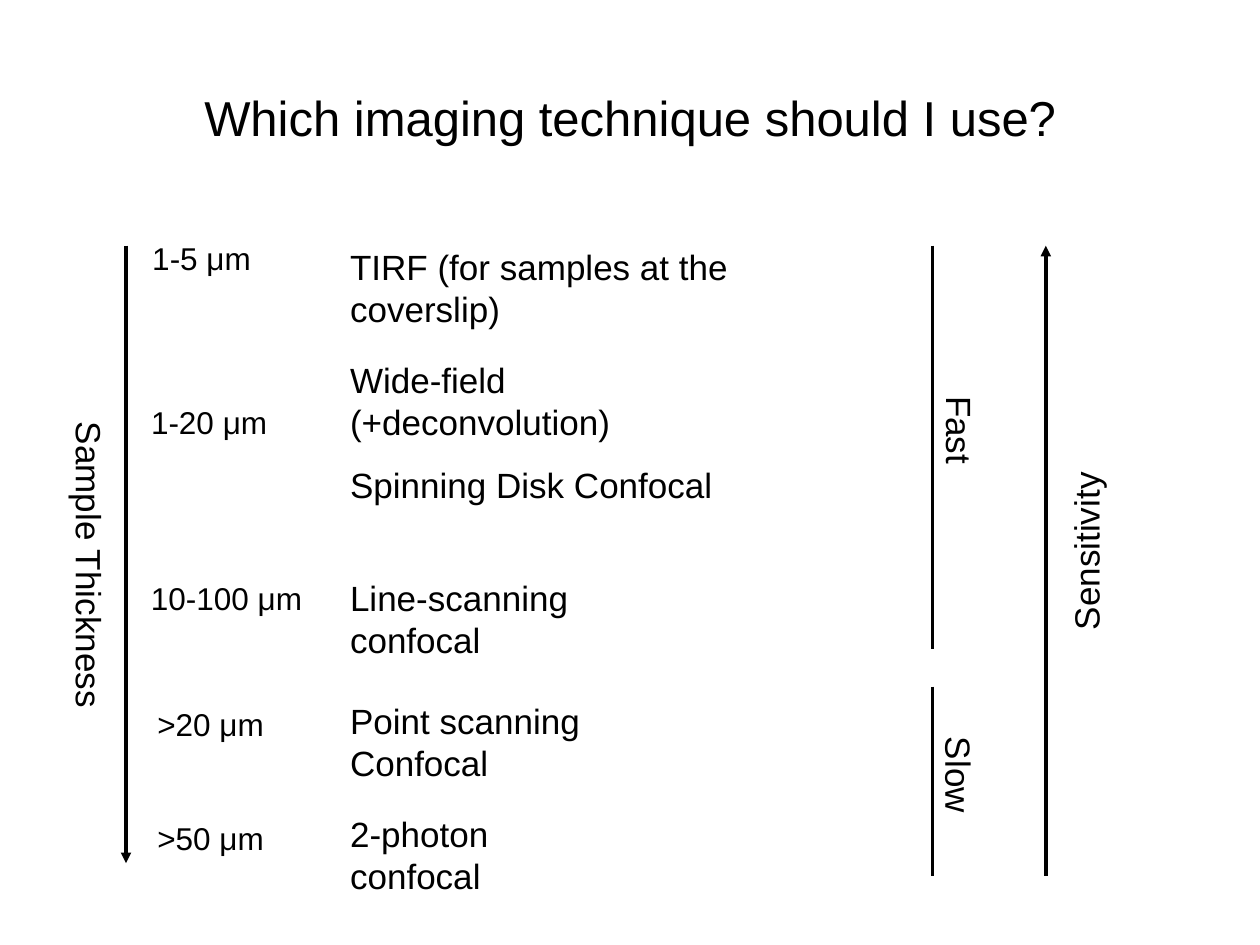
from lxml import etree
from pptx import Presentation
from pptx.dml.color import RGBColor
from pptx.enum.shapes import MSO_CONNECTOR
from pptx.enum.text import MSO_ANCHOR, PP_ALIGN
from pptx.oxml.ns import qn
from pptx.util import Inches, Pt

BLACK = RGBColor(0, 0, 0)
FONT = "Arial"
LABEL_HEIGHT = 0.43
RANGE_HEIGHT = 0.4
AXIS_TOP = 1.95

# Top, width, text, whether the name breaks onto a second line
TECHNIQUES = [
    (1.9, 4.46, "TIRF (for samples at the coverslip)", True),
    (2.8, 3.57, "Wide-field (+deconvolution)", True),
    (3.63, 3.08, "Spinning Disk Confocal", False),
    (4.53, 3.04, "Line-scanning confocal", True),
    (5.5, 3.2, "Point scanning Confocal", True),
    (6.4, 2.41, "2-photon confocal", True),
]
# Offset from the column, top, width, text
RANGES = [
    (0.01, 1.85, 0.98, "1-5 μm"),
    (0, 3.15, 1.12, "1-20 μm"),
    (0, 4.55, 1.4, "10-100 μm"),
    (0.05, 5.55, 1.05, ">20 μm"),
    (0.05, 6.45, 1.05, ">50 μm"),
]


def format_text(frame, text, size=20, align=PP_ALIGN.LEFT, anchor=MSO_ANCHOR.TOP):
    frame.text = text
    frame.vertical_anchor = anchor
    paragraph = frame.paragraphs[0]
    paragraph.alignment = align
    font = paragraph.runs[0].font
    font.name, font.size = FONT, Pt(size)
    font.color.rgb = BLACK


def add_label(slide, text, left, top, width, height=LABEL_HEIGHT,
              size=20, rotation=0, breaks=False):
    shape = slide.shapes.add_textbox(
        Inches(left), Inches(top), Inches(width), Inches(height))
    shape.rotation = rotation
    frame = shape.text_frame
    frame.word_wrap = breaks
    if breaks:
        frame.margin_right = Inches(0.5)
    format_text(frame, text, size=size)


def add_vertical_line(slide, x, start, end, arrow=False):
    line = slide.shapes.add_connector(
        MSO_CONNECTOR.STRAIGHT, Inches(x), Inches(start), Inches(x), Inches(end))
    line.line.color.rgb = BLACK
    line.line.width = Pt(2)
    properties = line._element.spPr
    if arrow:
        outline = properties.find(qn("a:ln"))
        etree.SubElement(outline, qn("a:tailEnd"), type="triangle")
    etree.SubElement(properties, qn("a:effectLst"))


def place_title(slide, left, top, width, height):
    title = slide.shapes.title
    title.left, title.top = Inches(left), Inches(top)
    title.width, title.height = Inches(width), Inches(height)
    format_text(title.text_frame, "Which imaging technique should I use?",
                size=28, align=PP_ALIGN.CENTER, anchor=MSO_ANCHOR.MIDDLE)


def add_thickness_axis(slide, x, top, bottom):
    add_vertical_line(slide, x, top, bottom, arrow=True)
    add_label(slide, "Sample Thickness", x - 1.52, 4.27, 2.47, rotation=90)
    for offset, label_top, width, text in RANGES:
        add_label(slide, text, x + 0.1 + offset, label_top, width,
                  height=RANGE_HEIGHT, size=18)


def add_techniques(slide, left):
    for top, width, text, breaks in TECHNIQUES:
        add_label(slide, text, left, top, width, breaks=breaks)


def add_speed_bars(slide, x, top, bottom):
    add_vertical_line(slide, x, top, top + 3.2)
    add_vertical_line(slide, x, bottom - 1.5, bottom)
    add_label(slide, "Fast", x - 0.15, 3.2, 0.74, rotation=90)
    add_label(slide, "Slow", x - 0.19, 5.94, 0.81, rotation=90)


def add_sensitivity_axis(slide, x, top, bottom):
    add_vertical_line(slide, x, bottom, top, arrow=True)
    add_label(slide, "Sensitivity", x - 0.41, 4.16, 1.45, rotation=270)


def main():
    presentation = Presentation()
    presentation.slide_width, presentation.slide_height = Inches(10), Inches(7.5)
    slide = presentation.slides.add_slide(presentation.slide_layouts[5])

    place_title(slide, 0.5, 0.3, 9, 1.25)
    add_thickness_axis(slide, 1, AXIS_TOP, 6.85)
    add_techniques(slide, 2.68)
    add_speed_bars(slide, 7.4, AXIS_TOP, 6.95)
    add_sensitivity_axis(slide, 8.3, AXIS_TOP, 6.95)
    presentation.save("out.pptx")


if __name__ == "__main__":
    main()
